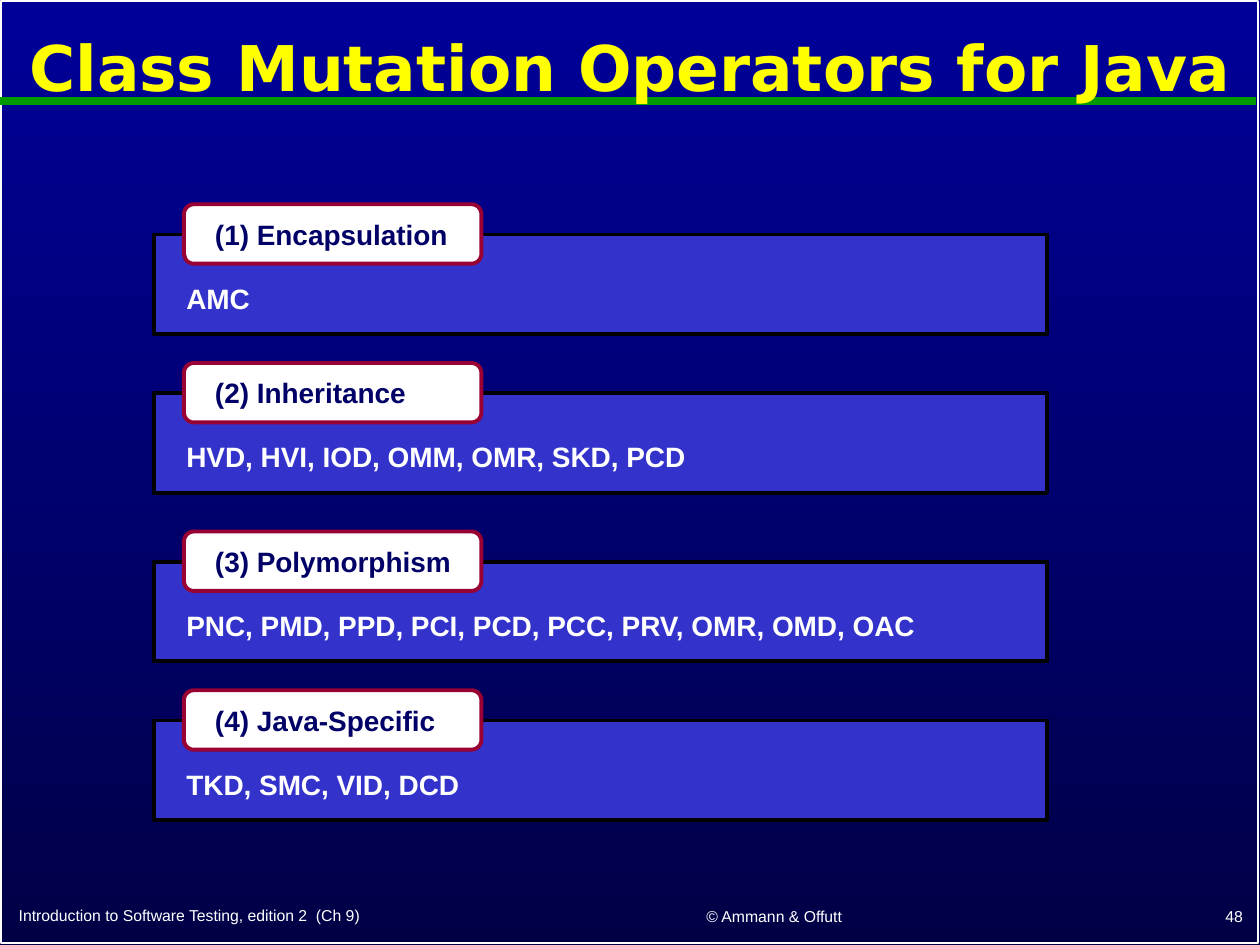
from lxml import etree
from pptx import Presentation
from pptx.dml.color import RGBColor
from pptx.enum import shapes, text
from pptx.oxml.ns import qn
from pptx.util import Pt

TITLE = "Class Mutation Operators for Java"
# band top, category, operators
GROUPS = [
    (134, "(1) Encapsulation", "AMC"),
    (224.7, "(2) Inheritance", "HVD, HVI, IOD, OMM, OMR, SKD, PCD"),
    (321, "(3) Polymorphism", "PNC, PMD, PPD, PCI, PCD, PCC, PRV, OMR, OMD, OAC"),
    (411.7, "(4) Java-Specific", "TKD, SMC, VID, DCD"),
]
LEFT, CENTER, RIGHT = text.PP_ALIGN.LEFT, text.PP_ALIGN.CENTER, text.PP_ALIGN.RIGHT
# wording, left, top, width, height, alignment
FOOTERS = [
    ("Introduction to Software Testing, edition 2  (Ch 9)", 3.6, 512, 305, 21.6, LEFT),
    ("© Ammann & Offutt", 328.3, 512.6, 228.2, 22.3, CENTER),
    ("48", 567.4, 512, 149.8, 23, RIGHT),
]
WHITE = "FFFFFF"


def color(value):
    return RGBColor.from_string(value)


def add_box(kind, left, top, width, height, fill, line, weight):
    shape = slide.shapes.add_shape(kind, Pt(left), Pt(top), Pt(width), Pt(height))
    shape.shadow.inherit = False
    if fill:
        shape.fill.solid()
        shape.fill.fore_color.rgb = color(fill)
    else:
        shape.fill.background()
    shape.line.color.rgb = color(line)
    shape.line.width = Pt(weight)
    return shape


def write(shape, words, size, ink, bold=False, align=LEFT, font="Arial"):
    frame = shape.text_frame
    frame.text = words
    frame.word_wrap = True
    frame.vertical_anchor = text.MSO_ANCHOR.MIDDLE
    paragraph = frame.paragraphs[0]
    paragraph.alignment = align
    style = paragraph.runs[0].font
    style.name, style.size, style.bold = font, Pt(size), bold
    style.color.rgb = color(ink)
    return paragraph


def add_text(left, top, width, height, *words, **style):
    box = slide.shapes.add_textbox(Pt(left), Pt(top), Pt(width), Pt(height))
    return write(box, *words, **style)


presentation = Presentation()
presentation.slide_width, presentation.slide_height = Pt(720), Pt(540)
slide = presentation.slides.add_slide(presentation.slide_layouts[6])

background = slide.background.fill
background.gradient()
background.gradient_angle = 270
for stop, value in zip(background.gradient_stops, ("000099", "000047")):
    stop.color.rgb = color(value)

add_box(shapes.MSO_SHAPE.RECTANGLE, 0.7, 0.7, 718, 538, None, WHITE, 1)
rule = slide.shapes.add_connector(
    shapes.MSO_CONNECTOR.STRAIGHT, Pt(0), Pt(57.5), Pt(718), Pt(57.5))
rule.line.color.rgb = color("009900")
rule.line.width = Pt(4.5)
etree.SubElement(rule._element.spPr, qn("a:effectLst"))

heading = add_text(0, 5, 720, 71.3, TITLE, 36, "FFFF00",
                   bold=True, align=CENTER, font="DejaVu Sans")
heading.line_spacing = 0.9

for top, category, operators in GROUPS:
    add_box(shapes.MSO_SHAPE.RECTANGLE, 87.8, top, 510.5, 57, "3333CC", "000000", 2.25)
    label = add_box(shapes.MSO_SHAPE.ROUNDED_RECTANGLE, 105.1, top - 17.3, 170, 34,
                    WHITE, "990033", 2.25)
    label.adjustments[0] = 0.167
    write(label, category, 16, "000066", bold=True)
    label.text_frame.margin_left = Pt(16.1)
    add_text(99.4, top + 23, 440, 26.6, operators, 16, WHITE, bold=True)

for words, left, top, width, height, align in FOOTERS:
    add_text(left, top, width, height, words, 9, WHITE, align=align)

presentation.save("out.pptx")
